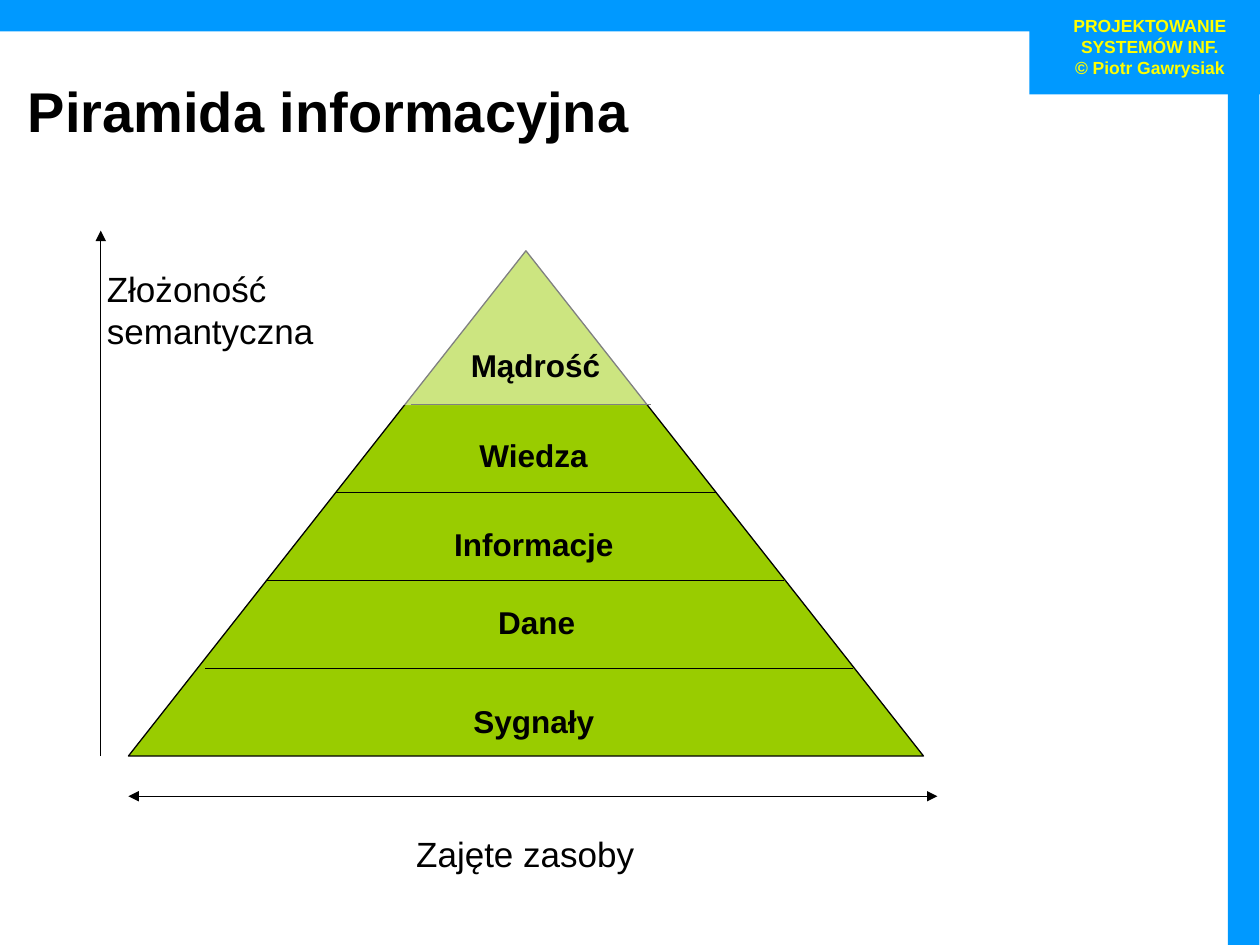
from lxml import etree
from pptx import Presentation
from pptx.dml.color import RGBColor
from pptx.enum.shapes import MSO_CONNECTOR, MSO_SHAPE
from pptx.enum.text import MSO_ANCHOR, PP_ALIGN
from pptx.oxml.ns import qn
from pptx.util import Pt

BLACK = RGBColor(0, 0, 0)
WHITE = RGBColor(255, 255, 255)
GREEN = RGBColor(0x99, 0xCC, 0x00)
BLUE = RGBColor(0x00, 0x99, 0xFF)
YELLOW = RGBColor(0xFF, 0xFF, 0x00)
STRAIGHT = MSO_CONNECTOR.STRAIGHT
BOX, CONE = MSO_SHAPE.RECTANGLE, MSO_SHAPE.ISOSCELES_TRIANGLE
LEFT, MID = PP_ALIGN.LEFT, PP_ALIGN.CENTER
TOP, CENTER, BOTTOM = MSO_ANCHOR.TOP, MSO_ANCHOR.MIDDLE, MSO_ANCHOR.BOTTOM


def write(shape, lines, size, bold=False, color=BLACK, align=MID, anchor=TOP):
    """Fill a shape's text frame with evenly styled paragraphs."""
    frame = shape.text_frame
    frame.word_wrap = True
    frame.vertical_anchor = anchor
    frame.text = "\n".join(lines)
    for para in frame.paragraphs:
        para.alignment = align
        font = para.font
        font.name, font.size, font.bold = "Arial", Pt(size), bold
        font.color.rgb = color
    return frame


def add_text(slide, box, lines, size, **style):
    """Add a text box at box (left, top, width, height)."""
    shape = slide.shapes.add_textbox(*map(Pt, box))
    return write(shape, lines, size, **style)


def add_solid(slide, kind, box, color):
    """Add a filled shape without outline or shadow."""
    shape = slide.shapes.add_shape(kind, *map(Pt, box))
    shape.shadow.inherit = False
    shape.fill.solid()
    shape.fill.fore_color.rgb = color
    shape.line.fill.background()
    return shape


def add_line(slide, start, end, heads=()):
    """Add a thin black line with arrowheads at the named ends."""
    line = slide.shapes.add_connector(STRAIGHT, *map(Pt, start + end))
    line.line.color.rgb = BLACK
    line.line.width = Pt(0.75)
    props = line._element.spPr
    for name in heads:
        etree.SubElement(props.find(qn("a:ln")), qn(name), type="triangle")
    etree.SubElement(props, qn("a:effectLst"))


def add_frame(slide, box):
    """Draw the blue border with the course name in its corner."""
    left, top, width, height = box
    right = left + width
    bars = [
        (right - 131.8, top, 131.8, 54),
        (left, top, width - 54, 18),
        (right - 18.3, top + 48, 18, height - 48),
    ]
    for bar in bars:
        add_solid(slide, BOX, bar, BLUE)
    lines = ["PROJEKTOWANIE SYSTEMÓW INF.", "© Piotr Gawrysiak"]
    add_text(slide, (right - 126, top + 5, 126, 43), lines, 10,
             bold=True, color=YELLOW)


def add_title(slide, box):
    """Add the slide title."""
    frame = add_text(slide, box, ["Piramida informacyjna"], 32,
                     bold=True, align=LEFT, anchor=CENTER)
    frame.margin_left = Pt(16)


def add_cone(slide, box):
    """Draw the pyramid with its level lines, labels and pale tip."""
    left, top, width, height = box
    base, step = top + height, 50.2
    cone = add_solid(slide, CONE, box, GREEN)
    cone.line.color.rgb = BLACK
    cone.line.width = Pt(0.75)
    spans = [(44, 414), (78.5, 374.4), (118.8, 336.3), (161.3, 298.8)]
    for level, (start, end) in enumerate(spans, 1):
        y = base - level * step
        add_line(slide, (left + start, y), (left + end, y))
    labels = [
        ("Sygnały", 231.7, 34.6),
        ("Dane", 233.3, 90.7),
        ("Informacje", 231.7, 135.4),
        ("Wiedza", 231.5, 186.5),
    ]
    for name, mid, rise in labels:
        add_text(slide, (left + mid - 68, base - rise, 136, 35), [name], 18,
                 bold=True)
    veil = add_solid(slide, BOX, (left + 152, top - 7.2, 161.2, 95.5), WHITE)
    tint = veil._element.spPr.find(qn("a:solidFill"))[0]
    etree.SubElement(tint, qn("a:alpha"), val="50000")
    frame = write(veil, ["Mądrość"], 18, bold=True, anchor=BOTTOM)
    frame.margin_bottom = Pt(12.5)


def add_axes(slide, box):
    """Draw the two arrows and their captions around the pyramid."""
    left, top, width, height = box
    base = top + height
    add_line(slide, (left, base - 23), (left, top), ["a:tailEnd"])
    add_line(slide, (left + 15.8, base), (left + width, base),
             ["a:headEnd", "a:tailEnd"])
    add_text(slide, (left + 138.2, base + 17.3, 208.8, 35.3),
             ["Zajęte zasoby"], 20)
    add_text(slide, (left - 3.6, top + 17.3, 185, 38.2),
             ["Złożoność semantyczna"], 20, align=LEFT)


def main():
    """Build and save the slide."""
    deck = Presentation()
    deck.slide_width, deck.slide_height = Pt(720), Pt(540)
    slide = deck.slides.add_slide(deck.slide_layouts[6])
    add_cone(slide, (73.4, 143.3, 454.3, 288.7))
    add_axes(slide, (57.6, 131.8, 478.1, 323.2))
    add_frame(slide, (0, 0, 720, 540))
    add_title(slide, (0, 18, 612, 90))
    deck.save("out.pptx")


if __name__ == "__main__":
    main()
